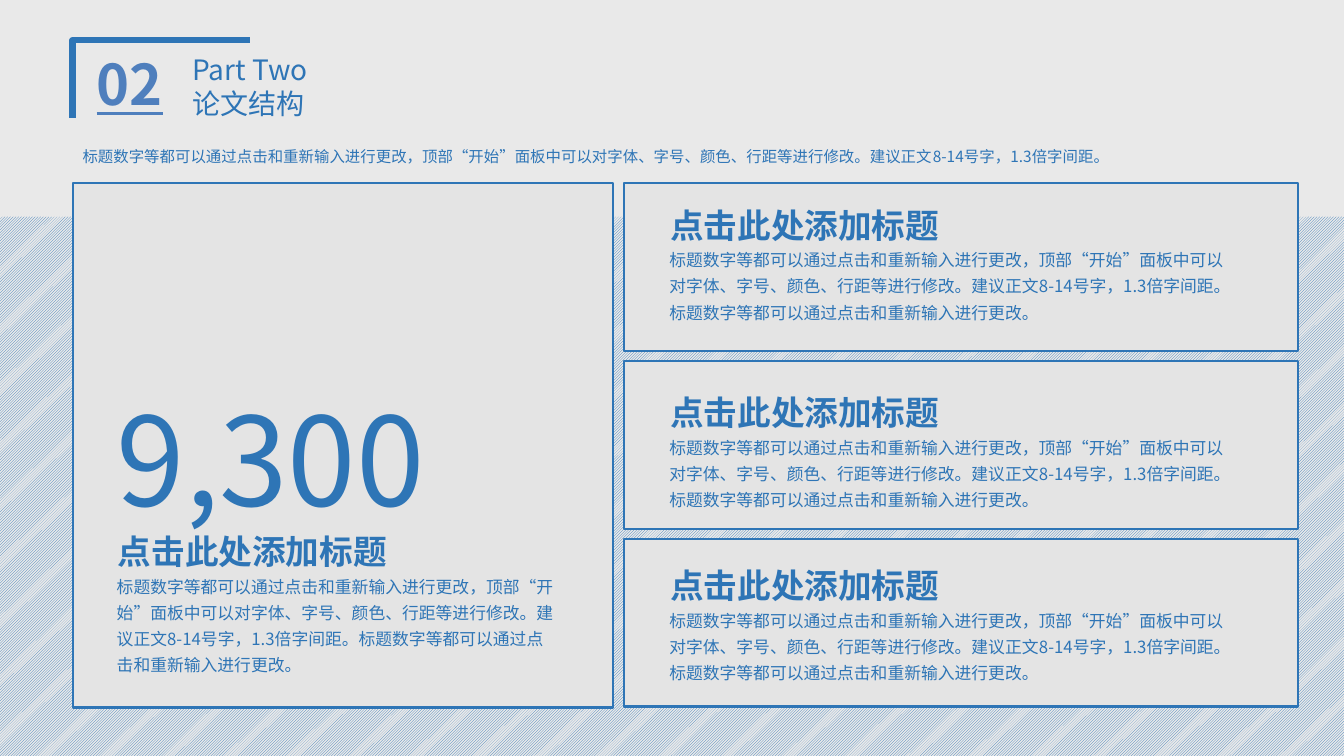
from lxml import etree
from pptx import Presentation
from pptx.dml.color import RGBColor
from pptx.enum.dml import MSO_PATTERN
from pptx.enum.shapes import MSO_SHAPE
from pptx.enum.text import MSO_ANCHOR, MSO_AUTO_SIZE, PP_ALIGN
from pptx.oxml.ns import qn
from pptx.util import Inches, Pt

RECT = MSO_SHAPE.RECTANGLE
HATCH = MSO_PATTERN.LIGHT_UPWARD_DIAGONAL
TOP = MSO_ANCHOR.TOP
GROW = MSO_AUTO_SIZE.SHAPE_TO_FIT_TEXT
LEFT = PP_ALIGN.LEFT

HEAD = "点击此处添加标题"
INTRO = (
    "标题数字等都可以通过点击和重新输入进行更改，顶部“开始”面板中可以"
    "对字体、字号、颜色、行距等进行修改。建议正文8-14号字，1.3倍字间距。"
)
BODY = INTRO + "标题数字等都可以通过点击和重新输入进行更改。"


def color(code):
    return RGBColor.from_string(code)


class Deck:
    font = "Noto Sans CJK SC"
    blue = "2E75B6"
    back = "E9E9E9"
    card = "E4E4E4"

    def __init__(self):
        self.show = Presentation()
        self.show.slide_width = Inches(13.33)
        self.show.slide_height = Inches(7.5)
        self.slide = self.show.slides.add_slide(self.show.slide_layouts[5])
        fill = self.slide.background.fill
        fill.solid()
        fill.fore_color.rgb = color(self.back)

    def style(self, box, text, size, tint=None, bold=False, line=False,
              space=1.0, wrap=True):
        frame = box.text_frame
        frame.text = text
        frame.word_wrap = wrap
        frame.auto_size = GROW
        frame.vertical_anchor = TOP
        for para in frame.paragraphs:
            para.alignment = LEFT
            para.line_spacing = space
            for run in para.runs:
                font = run.font
                font.size = Pt(size)
                font.bold = bold
                font.underline = line
                font.color.rgb = color(tint or self.blue)
                font.name = self.font
                props = run._r.get_or_add_rPr()
                props.set("lang", "zh-CN")
                asian = etree.SubElement(props, qn("a:ea"))
                asian.set("typeface", self.font)

    def title(self, text, x, y, w, h, size):
        box = self.slide.shapes.title
        box.left, box.top = Inches(x), Inches(y)
        box.width, box.height = Inches(w), Inches(h)
        self.style(box, text, size)

    def text(self, text, x, y, w, h, size, **look):
        box = self.slide.shapes.add_textbox(
            Inches(x), Inches(y), Inches(w), Inches(h))
        self.style(box, text, size, **look)

    def rect(self, x, y, w, h):
        box = self.slide.shapes.add_shape(
            RECT, Inches(x), Inches(y), Inches(w), Inches(h))
        box.shadow.inherit = False
        return box

    def panel(self, x, y, w, h):
        box = self.rect(x, y, w, h)
        box.fill.solid()
        box.fill.fore_color.rgb = color(self.card)
        box.line.color.rgb = color(self.blue)
        box.line.width = Pt(1.5)

    def hatch(self, x, y, w, h):
        box = self.rect(x, y, w, h)
        box.fill.patterned()
        box.fill.pattern = HATCH
        box.fill.fore_color.rgb = color(self.blue)
        box.fill.back_color.rgb = color(self.back)
        box.line.fill.background()

    def corner(self, x, y, w, h):
        path = self.slide.shapes.build_freeform(Inches(x), Inches(y + h))
        path.add_line_segments(
            [(Inches(x), Inches(y)), (Inches(x + w), Inches(y))], close=False)
        shape = path.convert_to_shape()
        shape.shadow.inherit = False
        shape.fill.background()
        shape.line.color.rgb = color(self.blue)
        shape.line.width = Pt(4.5)

    def entry(self, x, y, w, h):
        self.text(HEAD, x + 0.01, y, 2.89, 0.5, 24, bold=True, wrap=False)
        self.text(BODY, x, y + 0.39, w, h, 12, space=1.3)


def main():
    deck = Deck()
    deck.corner(0.72, 0.4, 1.76, 0.77)
    deck.hatch(0, 2.15, 13.33, 5.35)
    deck.text("02", 0.86, 0.44, 0.95, 0.77, 40,
              tint="4F7FBD", bold=True, line=True)
    deck.title("Part Two\n论文结构", 1.81, 0.47, 2.4, 0.77, 20)
    deck.text(INTRO, 0.72, 1.36, 12.15, 0.34, 11, space=1.3)

    deck.panel(0.72, 1.82, 5.36, 5.2)
    for row, top in enumerate((1.98, 3.84, 5.56)):
        deck.panel(6.19, 1.82 + 1.765 * row, 6.68, 1.66)
        deck.entry(6.54, top, 5.83, 0.89)
    deck.entry(1.06, 5.22, 4.56, 1.15)
    deck.text("9,300", 1.06, 3.75, 4.98, 1.58, 88)
    deck.show.save("out.pptx")


if __name__ == "__main__":
    main()
